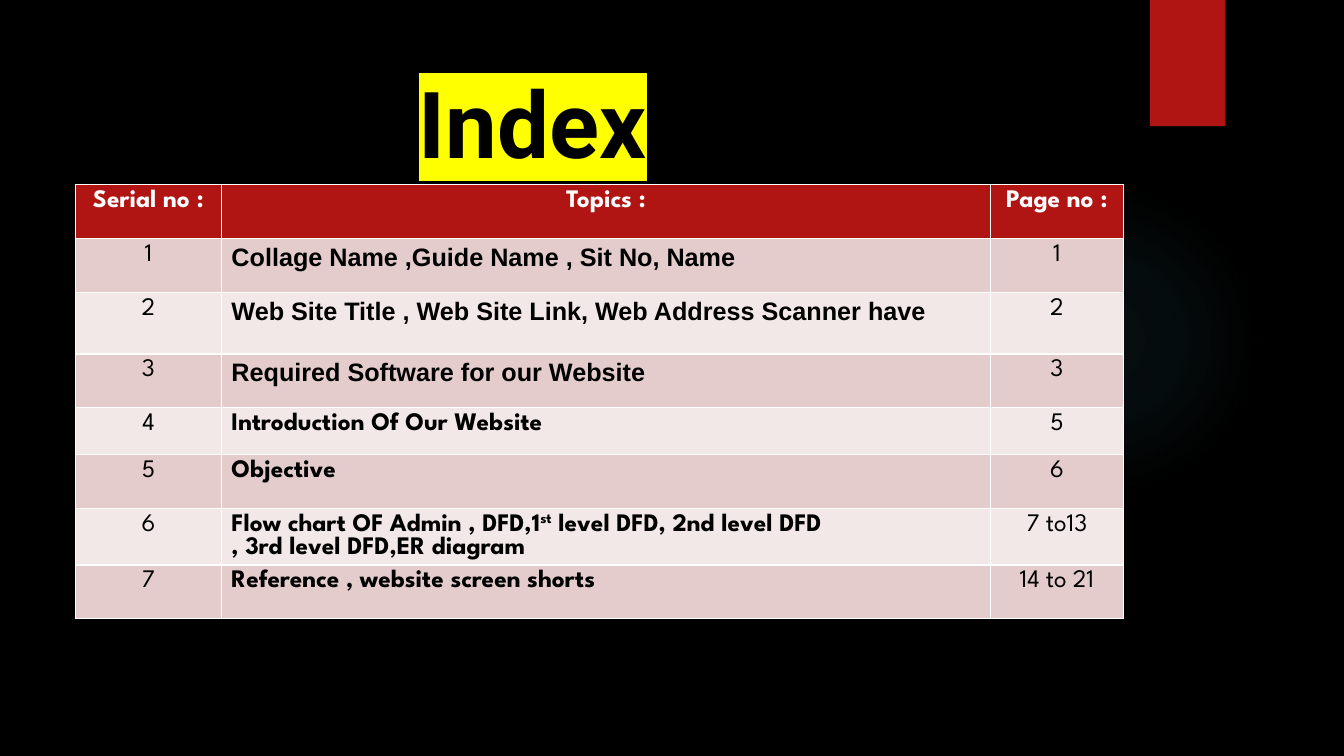
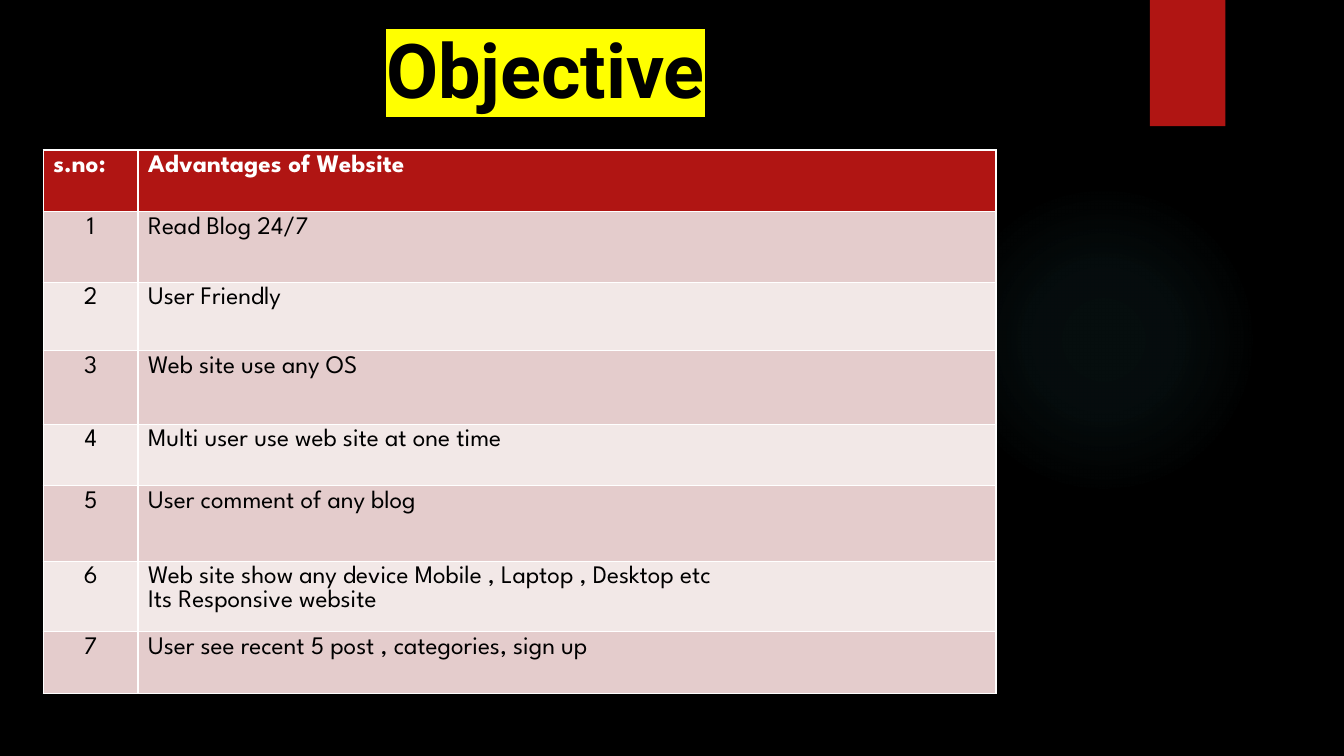
from dataclasses import dataclass

from lxml import etree
from pptx import Presentation
from pptx.dml.color import RGBColor
from pptx.enum.shapes import MSO_SHAPE
from pptx.enum.text import MSO_ANCHOR, MSO_AUTO_SIZE, PP_ALIGN
from pptx.oxml.ns import qn
from pptx.util import Cm, Pt

OVAL, RECTANGLE = MSO_SHAPE.OVAL, MSO_SHAPE.RECTANGLE
LEFT, CENTER = PP_ALIGN.LEFT, PP_ALIGN.CENTER
MIDDLE = MSO_ANCHOR.MIDDLE
NO_AUTOFIT = MSO_AUTO_SIZE.NONE
TITLE_ONLY = 5


@dataclass(frozen=True)
class Theme:
    background: str = "000000"
    text: str = "000000"
    header_text: str = "FFFFFF"
    accent: str = "B01513"
    glow: str = "50B9C1"
    highlight: str = "FFFF00"
    bands: tuple = ("E4CCCC", "F2E8E7")
    title_font: str = "Roboto"
    space_font: str = "TeX Gyre Adventor"
    table_font: str = "League Spartan"
    topic_font: str = "Arial"
    table_size: int = 18


@dataclass(frozen=True)
class Column:
    width: float
    header_align: int = CENTER
    align: int = CENTER
    bold: bool = False


class Deck:
    def __init__(self, theme):
        self.theme = theme
        self.slide = None
        self.presentation = Presentation()
        self.presentation.slide_width = Cm(33.87)
        self.presentation.slide_height = Cm(19.05)
        self.fill(self.presentation.slide_master.background, theme.background)

    def fill(self, target, color):
        target.fill.solid()
        target.fill.fore_color.rgb = RGBColor.from_string(color)

    def style(self, paragraph, font, size, color, bold, align):
        paragraph.alignment = align
        paragraph.font.name = font
        paragraph.font.size = Pt(size)
        paragraph.font.bold = bold
        paragraph.font.color.rgb = RGBColor.from_string(color)

    def add_slide(self):
        layout = self.presentation.slide_layouts[TITLE_ONLY]
        self.slide = self.presentation.slides.add_slide(layout)
        self.add_glow()
        ribbon = self.add_shape(RECTANGLE, 28.98, 0, 1.9, 3.18)
        self.fill(ribbon, self.theme.accent)

    def add_shape(self, kind, left, top, width, height):
        shape = self.slide.shapes.add_shape(
            kind, Cm(left), Cm(top), Cm(width), Cm(height))
        shape.shadow.inherit = False
        shape.line.fill.background()
        return shape

    def add_glow(self):
        glow = self.add_shape(OVAL, 23.9, 4.65, 7.82, 7.82)
        # Radial gradient that fades out from the centre
        gradient = etree.Element(qn("a:gradFill"), rotWithShape="1")
        stops = etree.SubElement(gradient, qn("a:gsLst"))
        for position, opacity in ((0, 7), (36, 6), (69, 0)):
            stop = etree.SubElement(stops, qn("a:gs"), pos=str(position * 1000))
            color = etree.SubElement(stop, qn("a:srgbClr"), val=self.theme.glow)
            etree.SubElement(color, qn("a:alpha"), val=str(opacity * 1000))
        circle = etree.SubElement(gradient, qn("a:path"), path="circle")
        etree.SubElement(circle, qn("a:fillToRect"),
                         l="50000", t="50000", r="50000", b="50000")
        glow._element.spPr.find(qn("a:prstGeom")).addnext(gradient)

    def add_title(self, text, top, height, size, trailing_space=False):
        title = self.slide.shapes.title
        title.left, title.top = Cm(1.9), Cm(top)
        title.width, title.height = Cm(23.7), Cm(height)
        frame = title.text_frame
        frame.word_wrap = True
        frame.auto_size = NO_AUTOFIT
        frame.vertical_anchor = MIDDLE
        paragraph = frame.paragraphs[0]
        paragraph.space_before = Pt(10)
        self.style(paragraph, self.theme.title_font, size, self.theme.text,
                   True, CENTER)
        run = paragraph.add_run()
        run.text = text
        highlight = etree.SubElement(run._r.get_or_add_rPr(), qn("a:highlight"))
        etree.SubElement(highlight, qn("a:srgbClr"), val=self.theme.highlight)
        if trailing_space:
            space = paragraph.add_run()
            space.text = " "
            space.font.name = self.theme.space_font

    def add_table(self, left, top, columns, heights, rows, topic_rows=()):
        theme = self.theme
        frame = self.slide.shapes.add_table(
            len(rows), len(columns), Cm(left), Cm(top),
            Cm(sum(column.width for column in columns)), Cm(sum(heights)))
        table = frame.table
        for index, column in enumerate(columns):
            table.columns[index].width = Cm(column.width)
        for row, (height, texts) in enumerate(zip(heights, rows)):
            table.rows[row].height = Cm(height)
            header = row == 0
            color = theme.header_text if header else theme.text
            band = theme.accent if header else theme.bands[(row - 1) % 2]
            for index, (column, text) in enumerate(zip(columns, texts)):
                cell = table.cell(row, index)
                self.fill(cell, band)
                is_topic = column.bold and row in topic_rows
                font = theme.topic_font if is_topic else theme.table_font
                align = column.header_align if header else column.align
                self.write_cell(cell, text, font, color,
                                header or column.bold, align)

    def write_cell(self, cell, text, font, color, bold, align):
        frame = cell.text_frame
        for number, line in enumerate(text.split("\n")):
            paragraph = frame.add_paragraph() if number else frame.paragraphs[0]
            self.style(paragraph, font, self.theme.table_size, color, bold, align)
            # Text between carets is superscript
            for part, words in enumerate(line.split("^")):
                run = paragraph.add_run()
                run.text = words
                if part % 2:
                    run._r.get_or_add_rPr().set("baseline", "30000")


deck = Deck(Theme())

# Index
deck.add_slide()
deck.add_title("Index", 1.9, 2.34, 66, trailing_space=True)
deck.add_table(
    1.9, 4.65,
    [Column(3.68), Column(19.38, align=LEFT, bold=True), Column(3.35)],
    [1.37, 1.35, 1.55, 1.35, 1.19, 1.35, 1.35, 1.35],
    [
        ("Serial no :", "Topics :", "Page no :"),
        ("1", "Collage Name ,Guide Name , Sit No, Name", "1"),
        ("2", "Web Site Title , Web Site Link, Web Address Scanner have", "2"),
        ("3", "Required Software for our Website", "3"),
        ("4", "Introduction Of Our Website", "5"),
        ("5", "Objective", "6"),
        ("6", "Flow chart OF Admin , DFD,1^st^ level DFD, 2nd level DFD\n"
              ", 3rd level DFD,ER diagram", "7 to13"),
        ("7", "Reference , website screen shorts", "14 to 21"),
    ],
    topic_rows=range(1, 4))

# Objective
advantages = [
    "Read Blog 24/7",
    "User Friendly",
    "Web site use any OS",
    "Multi user use web site at one time",
    "User comment of any blog",
    "Web site show any device Mobile , Laptop , Desktop etc\n"
    "Its Responsive website",
    "User see recent 5 post , categories, sign up",
]
deck.add_slide()
deck.add_title("Objective", 0.53, 2.39, 54)
deck.add_table(
    1.09, 3.78,
    [Column(2.39, header_align=LEFT),
     Column(21.62, header_align=LEFT, align=LEFT)],
    [1.55, 1.78, 1.73, 1.85, 1.55, 1.9, 1.78, 1.55],
    [("s.no:", "Advantages of Website")]
    + [(str(number), text) for number, text in enumerate(advantages, 1)])

deck.presentation.save("out.pptx")
